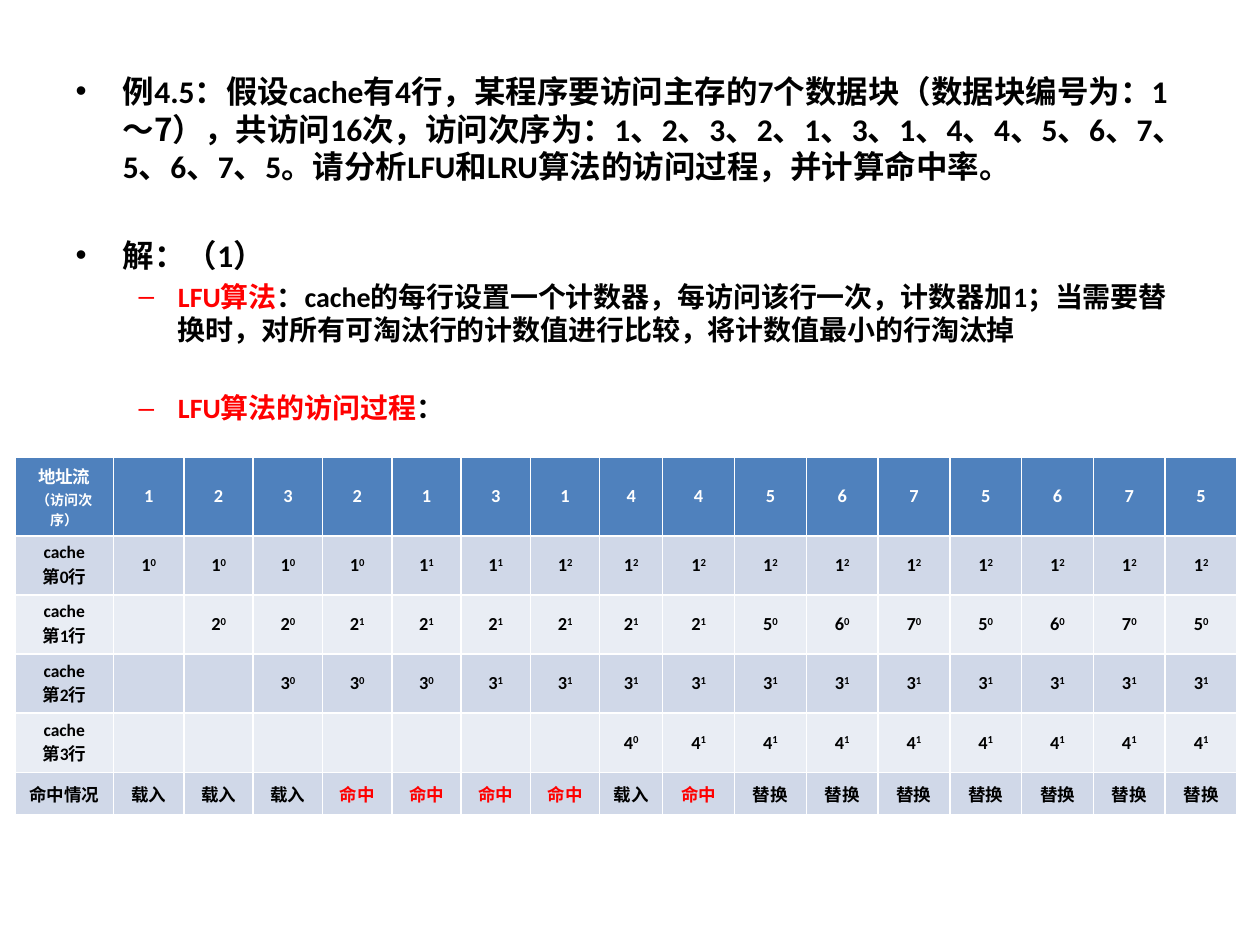
"""Build a slide that traces the LFU cache replacement algorithm."""
from typing import NamedTuple

import pptx
import pptx.dml.color
import pptx.enum.text
import pptx.oxml.ns
import pptx.util
from lxml import etree
from pptx.util import Inches

RGBColor = pptx.dml.color.RGBColor
BLACK = RGBColor(0x00, 0x00, 0x00)
WHITE = RGBColor(0xFF, 0xFF, 0xFF)
RED = RGBColor(0xFF, 0x00, 0x00)
HEADER_BLUE = RGBColor(0x4F, 0x81, 0xBD)
BANDS = (RGBColor(0xE9, 0xED, 0xF4), RGBColor(0xD0, 0xD8, 0xE8))
LATIN = "Calibri"
CHINESE = "Noto Sans CJK SC"


class Span(NamedTuple):
    text: str
    color: RGBColor = BLACK
    font: str = LATIN
    superscript: bool = False


class Point(NamedTuple):
    spans: list[Span]
    size: float
    level: int = 0
    space_before: float | None = None


class CacheLine(NamedTuple):
    first_access: int
    blocks: str
    counts: str


POINTS = [
    Point([
        Span("例4.5：假设cache有4行，某程序要访问主存的7个数据块（数据块编号为：1"),
        Span("～7", font=CHINESE),
        Span("），共访问16次，访问次序为：1、2、3、2、1、3、1、4、4、5、6、7、5、6、7、5。"
             "请分析LFU和LRU算法的访问过程，并计算命中率。"),
    ], 18, space_before=0),
    Point([Span("解：（1）")], 18, space_before=28.8),
    Point([
        Span("LFU算法", RED),
        Span("：cache的每行设置一个计数器，每访问该行一次，计数器加1；当需要替换时，"
             "对所有可淘汰行的计数值进行比较，将计数值最小的行淘汰掉"),
    ], 16, level=1),
    Point([Span("LFU算法的访问过程", RED), Span("：")], 16, level=1, space_before=25.6),
]
ACCESSES = "1232131445675675"
CACHE_LINES = [
    CacheLine(0, "1" * 16, "0000112222222222"),
    CacheLine(1, "2" * 8 + "5675675", "00" + "1" * 6 + "0" * 7),
    CacheLine(2, "3" * 14, "000" + "1" * 11),
    CacheLine(7, "4" * 9, "0" + "1" * 8),
]
OUTCOMES = ["载入"] * 3 + ["命中"] * 4 + ["载入", "命中"] + ["替换"] * 7
COLUMN_WIDTHS = [0.78, 0.56] + [0.55] * 6 + [0.5] + [0.57] * 8
ROW_HEIGHTS = [0.55] + [0.4] * 4 + [0.34]


def write_paragraph(para, spans: list[Span], size: float) -> None:
    """Fill a paragraph with bold spans, sharing every property that agrees."""
    para.font.size = pptx.util.Pt(size)
    para.font.bold = True
    colors = {span.color for span in spans}
    fonts = {span.font for span in spans}
    if len(colors) == 1:
        para.font.color.rgb = spans[0].color
    if len(fonts) == 1:
        para.font.name = spans[0].font
    defaults = para._p.pPr.find(pptx.oxml.ns.qn("a:defRPr"))
    for span in spans:
        run = para.add_run()
        run.text = span.text
        if len(colors) > 1:
            run.font.color.rgb = span.color
        if len(fonts) > 1:
            run.font.name = span.font
        if span.superscript:
            run._r.get_or_add_rPr().set("baseline", "30000")
    if len(fonts) == 1:
        east_asian = etree.SubElement(defaults, pptx.oxml.ns.qn("a:ea"))
        east_asian.set("typeface", CHINESE)


def write_cell(cell, lines: list[list[Span]], sizes: list[float]) -> None:
    """Write centred lines into a table cell."""
    cell.vertical_anchor = pptx.enum.text.MSO_ANCHOR.MIDDLE
    frame = cell.text_frame
    for index, (spans, size) in enumerate(zip(lines, sizes)):
        para = frame.add_paragraph() if index else frame.paragraphs[0]
        para.alignment = pptx.enum.text.PP_ALIGN.CENTER
        write_paragraph(para, spans, size)


def fill_body(body) -> None:
    """Place the body placeholder and write its points."""
    body.left, body.top = Inches(0.5), Inches(0.52)
    body.width, body.height = Inches(9), Inches(4.95)
    frame = body.text_frame
    frame.auto_size = pptx.enum.text.MSO_AUTO_SIZE.NONE
    for index, point in enumerate(POINTS):
        para = frame.add_paragraph() if index else frame.paragraphs[0]
        para.level = point.level
        if point.space_before is not None:
            para.space_before = pptx.util.Pt(point.space_before)
        write_paragraph(para, point.spans, point.size)


def add_trace_table(page) -> None:
    """Add the table of cache contents after each access."""
    table = page.shapes.add_table(
        len(ROW_HEIGHTS), len(COLUMN_WIDTHS), Inches(0.12), Inches(3.63),
        Inches(sum(COLUMN_WIDTHS)), Inches(sum(ROW_HEIGHTS))).table
    for column, width in zip(table.columns, COLUMN_WIDTHS):
        column.width = Inches(width)
    for index, (row, height) in enumerate(zip(table.rows, ROW_HEIGHTS)):
        row.height = Inches(height)
        for cell in row.cells:
            cell.fill.solid()
            cell.fill.fore_color.rgb = BANDS[index % 2] if index else HEADER_BLUE

    write_cell(table.cell(0, 0), [[Span("地址流", WHITE)], [Span("（访问次序）", WHITE)]], [10, 8])
    for column, block in enumerate(ACCESSES, 1):
        write_cell(table.cell(0, column), [[Span(block, WHITE)]], [10.5])

    for number, line in enumerate(CACHE_LINES):
        row = number + 1
        write_cell(table.cell(row, 0), [[Span("cache")], [Span(f"第{number}行")]], [10, 10])
        for column, (block, count) in enumerate(zip(line.blocks, line.counts), line.first_access + 1):
            write_cell(table.cell(row, column), [[Span(block), Span(count, superscript=True)]], [10.5])

    last_row = len(ROW_HEIGHTS) - 1
    for column, outcome in enumerate(["命中情况"] + OUTCOMES):
        color = RED if outcome == "命中" else BLACK
        write_cell(table.cell(last_row, column), [[Span(outcome, color)]], [10])


def main() -> None:
    """Create the deck and save it."""
    deck = pptx.Presentation()
    deck.slide_width, deck.slide_height = Inches(10), Inches(7.5)
    page = deck.slides.add_slide(deck.slide_layouts[1])
    title = page.shapes.title._element
    title.getparent().remove(title)
    fill_body(page.placeholders[1])
    add_trace_table(page)
    deck.save("out.pptx")


if __name__ == "__main__":
    main()
